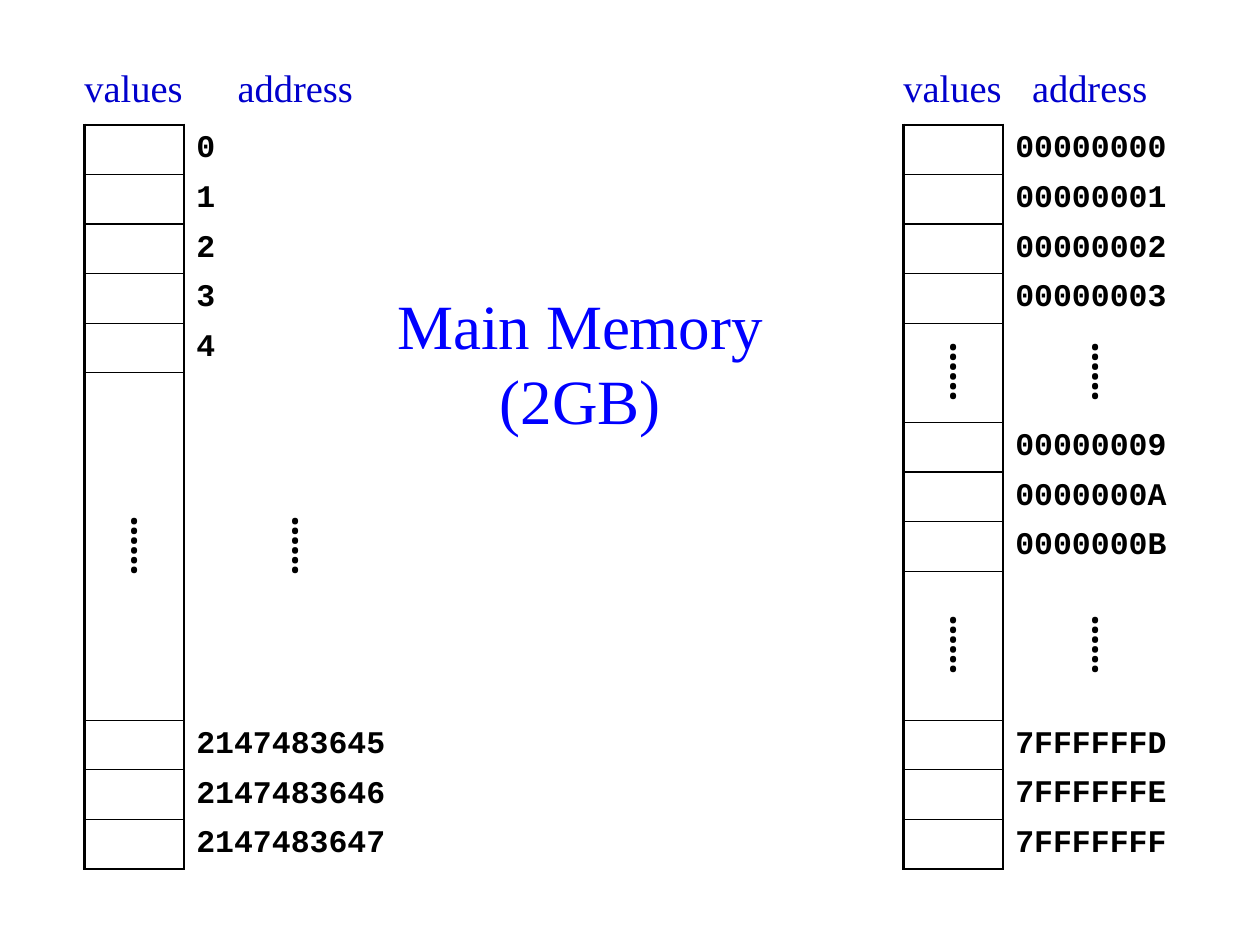
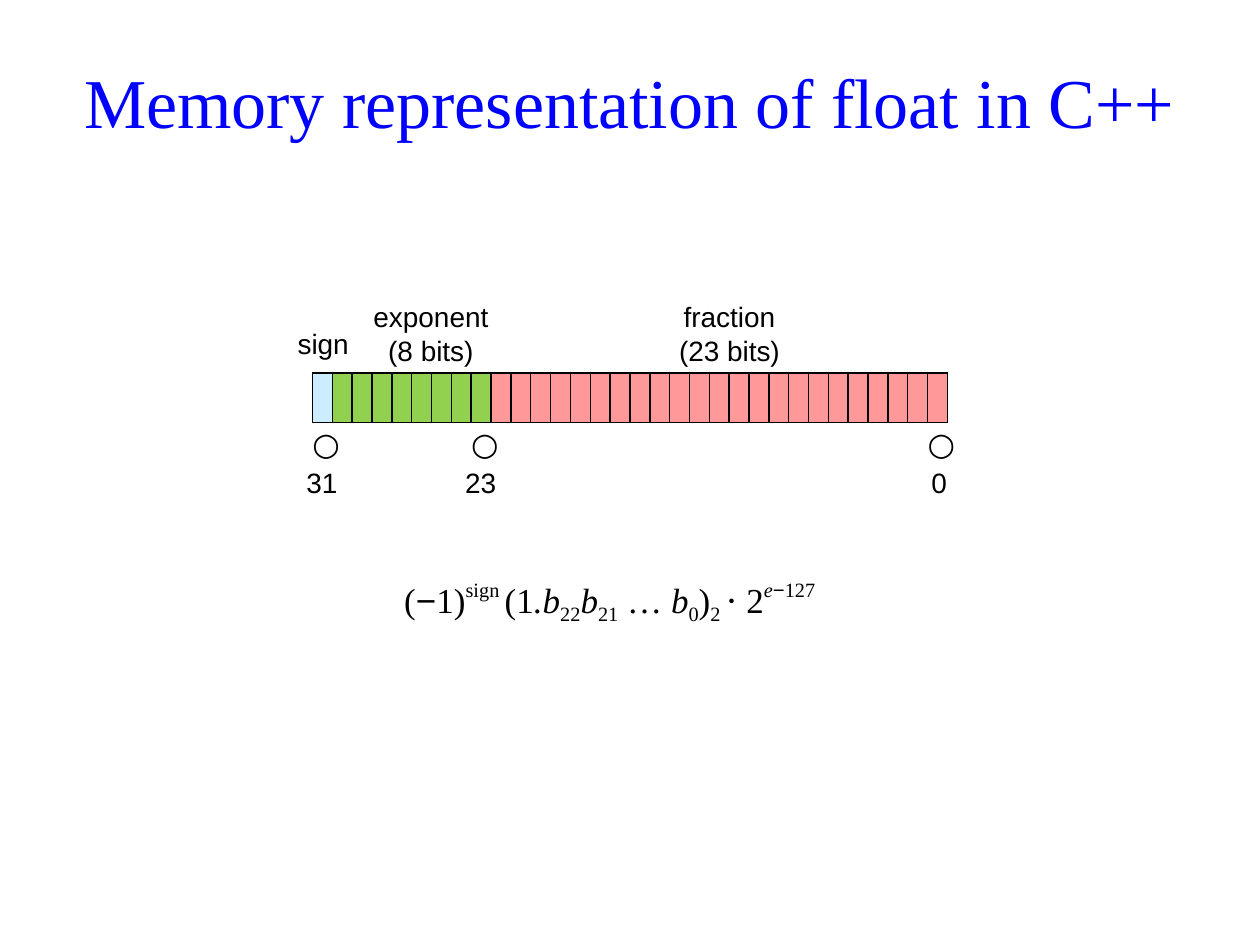
from lxml import etree
from pptx import Presentation
from pptx.dml.color import RGBColor
from pptx.enum.text import MSO_ANCHOR as ANCHOR, PP_ALIGN as ALIGN
from pptx.oxml.ns import qn
from pptx.util import Inches, Pt

BLACK = RGBColor(0x00, 0x00, 0x00)
TITLE_BLUE = RGBColor(0x00, 0x00, 0xFF)
HEADING_BLUE = RGBColor(0x00, 0x00, 0xCC)
SIGN_BLUE = RGBColor(0xCC, 0xEC, 0xFF)
EXPONENT_GREEN = RGBColor(0x92, 0xD0, 0x50)
FRACTION_PINK = RGBColor(0xFF, 0x99, 0x99)

SERIF, SANS, MONO, MATH = "Times New Roman", "Arial", "Courier New", "Cambria"
UNIT = 5.91 / 15  # height of one memory cell, in inches
DOTS = "⸽"
PLAIN_TABLE = "{2D5ABB26-0587-4C30-8999-92F81FD0307C}"


class Deck:
    """Holds the presentation, its style and the current slide."""

    def __init__(self):
        self.prs = Presentation()
        self.prs.slide_width, self.prs.slide_height = Inches(10), Inches(7.5)
        self.slide = None

    def new_slide(self):
        self.slide = self.prs.slides.add_slide(self.prs.slide_layouts[6])

    def run(self, p, text, size, font, color=BLACK, bold=False, italic=False, base=0):
        r = p.add_run()
        r.text = text
        f = r.font
        f.size, f.name, f.bold, f.italic = Pt(size), font, bold, italic
        f.color.rgb = color
        if base:
            f._element.set("baseline", str(base * 1000))

    def box(self, left, top, width, height, align=ALIGN.CENTER):
        tf = self.slide.shapes.add_textbox(
            Inches(left), Inches(top), Inches(width), Inches(height)).text_frame
        tf.word_wrap = True
        tf.vertical_anchor = ANCHOR.MIDDLE
        tf.paragraphs[0].alignment = align
        return tf

    def title(self, lines, size, *place):
        p = self.box(*place).paragraphs[0]
        for i, line in enumerate(lines):
            if i:
                p.add_line_break()
            self.run(p, line, size, SERIF, TITLE_BLUE)

    def label(self, lines, size, font, color, *place):
        tf = self.box(*place)
        for i, line in enumerate(lines):
            p = tf.add_paragraph() if i else tf.paragraphs[0]
            p.alignment = ALIGN.CENTER
            self.run(p, line, size, font, color)
        return tf

    def table(self, left, top, widths, heights):
        table = self.slide.shapes.add_table(
            len(heights), len(widths), Inches(left), Inches(top),
            Inches(sum(widths)), Inches(sum(heights))).table
        table.first_row = table.horz_banding = False
        table._tbl.tblPr.find(qn("a:tableStyleId")).text = PLAIN_TABLE
        for col, width in zip(table.columns, widths):
            col.width = Inches(width)
        for row, height in zip(table.rows, heights):
            row.height = Inches(height)
        return table

    def cell(self, cell, fill=None, margins=(0, 0, 0, 0), **borders):
        """Style a cell; borders are widths in points, keyed L, R, T, B."""
        (cell.margin_left, cell.margin_top,
         cell.margin_right, cell.margin_bottom) = map(Inches, margins)
        tcPr = cell._tc.get_or_add_tcPr()
        for side in "LRTB":
            ln = etree.SubElement(tcPr, qn("a:ln" + side))
            if side in borders:
                ln.set("w", str(Pt(borders[side])))
                solid = etree.SubElement(ln, qn("a:solidFill"))
                etree.SubElement(solid, qn("a:srgbClr")).set("val", str(BLACK))
            else:
                etree.SubElement(ln, qn("a:noFill"))
        if fill is None:
            cell.fill.background()
        else:
            cell.fill.solid()
            cell.fill.fore_color.rgb = fill

    def cell_text(self, cell, text, size, font, bold=False, align=ALIGN.CENTER):
        p = cell.text_frame.paragraphs[0]
        p.alignment = align
        self.run(p, text, size, font, bold=bold)

    def memory(self, left, address_width, rows, right_margin):
        """Column of memory cells with addresses; rows are (address, units)."""
        table = self.table(left, 0.99, [2 * UNIT, address_width],
                           [units * UNIT for _, units in rows])
        last = len(rows) - 1
        for i, (address, _) in enumerate(rows):
            value, addr = table.cell(i, 0), table.cell(i, 1)
            self.cell(value, L=1.5, R=1.5, T=0.75 if i else 1.5,
                      B=1.5 if i == last else 0.75)
            self.cell(addr, margins=(0.1, 0, right_margin, 0), L=1.5)
            value.vertical_anchor = addr.vertical_anchor = ANCHOR.MIDDLE
            if address == DOTS:
                for c in (value, addr):
                    self.cell_text(c, DOTS, 28, SERIF, True)
            else:
                self.cell_text(addr, address, 18, MONO, True, ALIGN.LEFT)
        # Column headings
        for text, x, width in (("values", left - 0.2, 1.18),
                               ("address", left + 2 * UNIT, address_width)):
            self.label([text], 22, SERIF, HEADING_BLUE, x, 0.4, width, 0.59)


def main_memory(deck):
    deck.new_slide()
    deck.title(["Main Memory", "(2GB)"], 36, 3.03, 2.18, 3.15, 1.38)

    # Hexadecimal addresses
    top = 2 ** 31
    hexa = lambda numbers: [(f"{n:08X}", 1) for n in numbers]
    deck.memory(7.17, 1.38, hexa(range(4)) + [(DOTS, 2)] + hexa(range(9, 12))
                + [(DOTS, 3)] + hexa(range(top - 3, top)), 0)

    # Decimal addresses
    decimal = lambda numbers: [(str(n), 1) for n in numbers]
    deck.memory(0.67, 1.77, decimal(range(5)) + [(DOTS, 7)]
                + decimal(range(top - 3, top)), 0.1)


def float_layout(deck):
    deck.new_slide()
    deck.title(["Memory representation of float in C++"], 40, 0.27, 0.21, 9.45, 1.18)

    # Bit cells, with circles under the numbered bits
    fills = [SIGN_BLUE] + [EXPONENT_GREEN] * 8 + [FRACTION_PINK] * 23
    bits = len(fills)
    table = deck.table(2.48, 2.96, [5.04 / bits] * bits, [UNIT] * 2)
    for i, fill in enumerate(fills):
        deck.cell(table.cell(0, i), fill, L=1, R=1, T=1, B=1)
        mark = table.cell(1, i)
        bit = bits - 1 - i
        if bit in (31, 23, 0):
            deck.cell(mark, margins=(0, 0.04, 0, 0.04), T=1)
            deck.cell_text(mark, "○", 18, MATH, bold=bit == 23)
        else:
            deck.cell(mark, T=1)

    # Field names and bit numbers
    for lines, *place in (
            (["sign"], 2.17, 2.49, 0.79, 0.47),
            (["exponent", "(8 bits)"], 2.79, 2.33, 1.26, 0.63),
            (["fraction", "(23 bits)"], 5.16, 2.33, 1.26, 0.63),
            (["31"], 2.32, 3.59, 0.47, 0.47),
            (["23"], 3.58, 3.59, 0.47, 0.47),
            (["0"], 7.21, 3.59, 0.47, 0.47)):
        tf = deck.label(lines, 16, SANS, BLACK, *place)
    tf.margin_right = Inches(0.08)

    # Value formula: text, font, italic, baseline shift in percent
    p = deck.box(3.11, 4.54, 3.78, 0.47, ALIGN.LEFT).paragraphs[0]
    sup, sub = 44, -25
    for text, font, italic, base in (
            ("(", SERIF, False, 0), ("−", SANS, False, 0), ("1)", SERIF, False, 0),
            ("sign ", SERIF, False, sup), ("(1", SERIF, False, 0),
            (".b", SERIF, True, 0), ("22", SERIF, False, sub),
            ("b", SERIF, True, 0), ("21", SERIF, False, sub),
            (" … ", SERIF, False, 0), ("b", SERIF, True, 0),
            ("0", SERIF, False, sub), (")", SERIF, False, 0),
            ("2 ", SERIF, False, sub), ("⋅", MATH, False, 0),
            (" 2", SERIF, False, 0), ("e", SERIF, True, sup),
            ("−", SANS, False, sup), ("127", SERIF, False, sup)):
        deck.run(p, text, 20, font, italic=italic, base=base)


def main():
    deck = Deck()
    main_memory(deck)
    float_layout(deck)
    deck.prs.save("out.pptx")


if __name__ == "__main__":
    main()
